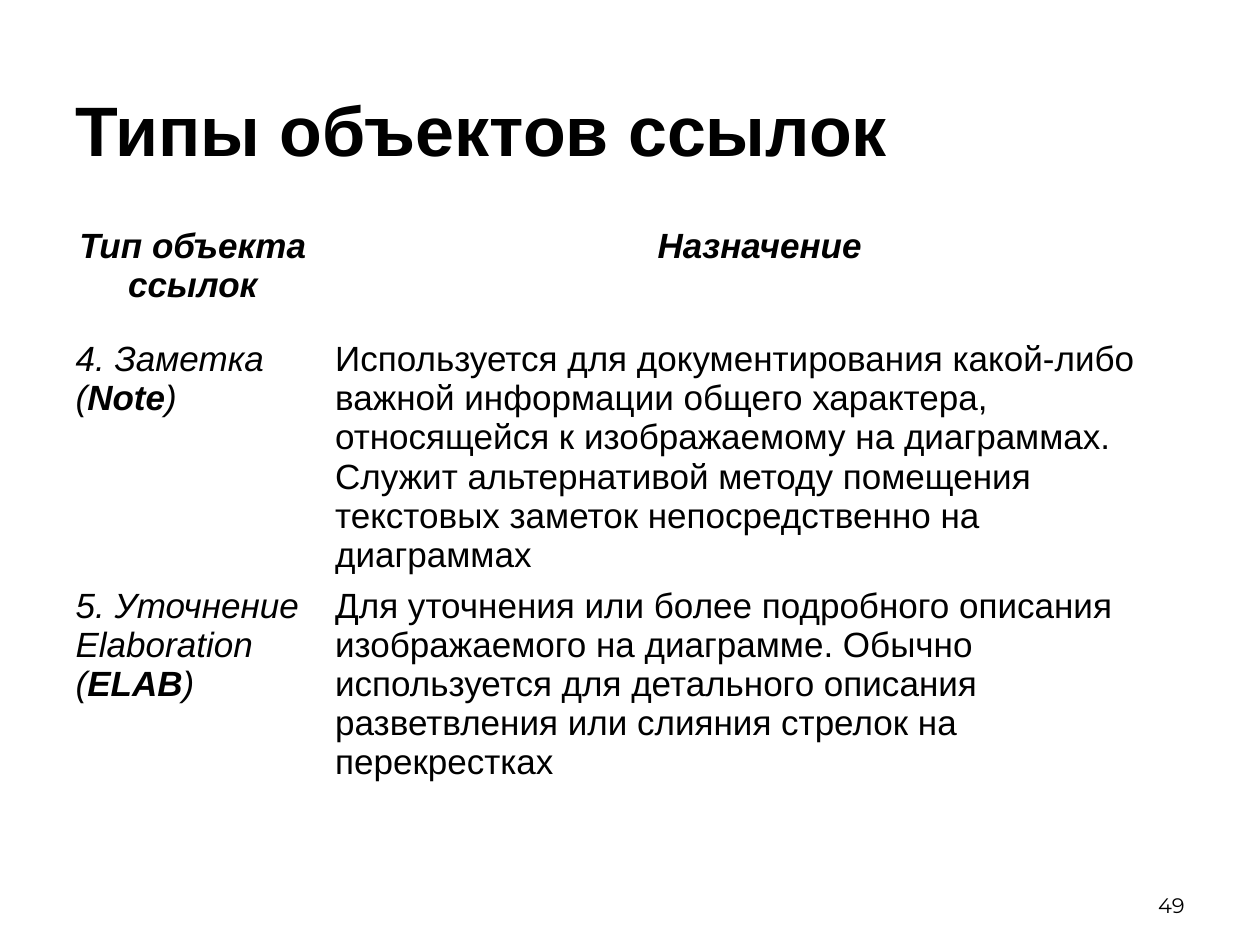
from dataclasses import dataclass

import pptx
import pptx.dml.color
import pptx.enum.text
import pptx.oxml.ns
import pptx.util
from lxml import etree
from pptx.util import Inches

COLORS = {"text": "000000", "paper": "FFFFFF"}
ALIGN = pptx.enum.text.PP_ALIGN
ANCHOR = pptx.enum.text.MSO_ANCHOR
COLUMN_WIDTHS = (2.06, 6.94)
ROW_HEIGHTS = (0.9, 1.85, 2.22)
OUTER_BORDER, INNER_BORDER = 2.25, 1


@dataclass
class LinkType:
    name: str
    code: str
    purpose: str


HEADINGS = ("Тип объекта ссылок", "Назначение")
LINK_TYPES = (
    LinkType(
        "4. Заметка", "Note",
        "Используется для документирования какой-либо важной информации общего "
        "характера, относящейся к изображаемому на диаграммах. Служит альтернативой "
        "методу помещения текстовых заметок непосредственно на диаграммах",
    ),
    LinkType(
        "5. Уточнение Elaboration", "ELAB",
        "Для уточнения или более подробного описания изображаемого на диаграмме. "
        "Обычно используется для детального описания разветвления или слияния "
        "стрелок на перекрестках",
    ),
)


def add_text(para, text: str, *, size: float = 20, font: str = "Arial",
             bold: bool = False, italic: bool = False, align=ALIGN.LEFT) -> None:
    """Append one formatted run to a paragraph."""
    para.alignment = align
    span = para.add_run()
    span.text = text
    span.font.size = pptx.util.Pt(size)
    span.font.name = font
    span.font.bold = bold
    span.font.italic = italic
    span.font.color.rgb = pptx.dml.color.RGBColor.from_string(COLORS["text"])


def set_borders(cell, widths: dict[str, float]) -> None:
    """Draw the cell's borders, which must come before its fill in the XML."""
    properties = cell._tc.get_or_add_tcPr()
    for position, (side, width) in enumerate(widths.items()):
        line = etree.Element(pptx.oxml.ns.qn(f"a:ln{side}"), w=str(pptx.util.Pt(width)))
        fill = etree.SubElement(line, pptx.oxml.ns.qn("a:solidFill"))
        etree.SubElement(fill, pptx.oxml.ns.qn("a:srgbClr"), val=COLORS["paper"])
        properties.insert(position, line)


def add_link_table(page) -> None:
    frame = page.shapes.add_table(
        len(ROW_HEIGHTS), len(COLUMN_WIDTHS), Inches(0.5), Inches(1.75),
        Inches(sum(COLUMN_WIDTHS)), Inches(sum(ROW_HEIGHTS)))
    table = frame.table
    table.first_row = table.horz_banding = False
    for column, width in zip(table.columns, COLUMN_WIDTHS):
        column.width = Inches(width)
    for row, height in zip(table.rows, ROW_HEIGHTS):
        row.height = Inches(height)

    # Plain cells with white borders
    last_row = len(ROW_HEIGHTS) - 1
    for row_index, row in enumerate(table.rows):
        for column_index, cell in enumerate(row.cells):
            cell.fill.background()
            set_borders(cell, {
                "L": OUTER_BORDER if column_index == 0 else INNER_BORDER,
                "R": OUTER_BORDER if column_index == 1 else INNER_BORDER,
                "T": INNER_BORDER,
                "B": OUTER_BORDER if row_index == last_row else INNER_BORDER,
            })

    # Headings
    for column_index, heading in enumerate(HEADINGS):
        para = table.cell(0, column_index).text_frame.paragraphs[0]
        add_text(para, heading, bold=True, italic=True, align=ALIGN.CENTER)

    # Link types
    for row_index, link in enumerate(LINK_TYPES, start=1):
        para = table.cell(row_index, 0).text_frame.paragraphs[0]
        add_text(para, f"{link.name} (", italic=True)
        add_text(para, link.code, bold=True, italic=True)
        add_text(para, ")", italic=True)
        add_text(table.cell(row_index, 1).text_frame.paragraphs[0], link.purpose)


def main() -> None:
    deck = pptx.Presentation()
    deck.slide_width, deck.slide_height = Inches(10), Inches(7.5)
    page = deck.slides.add_slide(deck.slide_layouts[5])

    # Title
    title = page.shapes.title
    title.left, title.top = Inches(0.5), Inches(0.5)
    title.width, title.height = Inches(9), Inches(1.04)
    title.text_frame.vertical_anchor = ANCHOR.MIDDLE
    add_text(title.text_frame.paragraphs[0], "Типы объектов ссылок", size=40, bold=True)

    add_link_table(page)

    # Page number
    box = page.shapes.add_textbox(Inches(7.17), Inches(6.83), Inches(2.33), Inches(0.5))
    box.text_frame.word_wrap = True
    box.text_frame.vertical_anchor = ANCHOR.BOTTOM
    add_text(box.text_frame.paragraphs[0], "49", size=12, font="Montserrat",
             align=ALIGN.RIGHT)

    deck.save("out.pptx")


if __name__ == "__main__":
    main()
